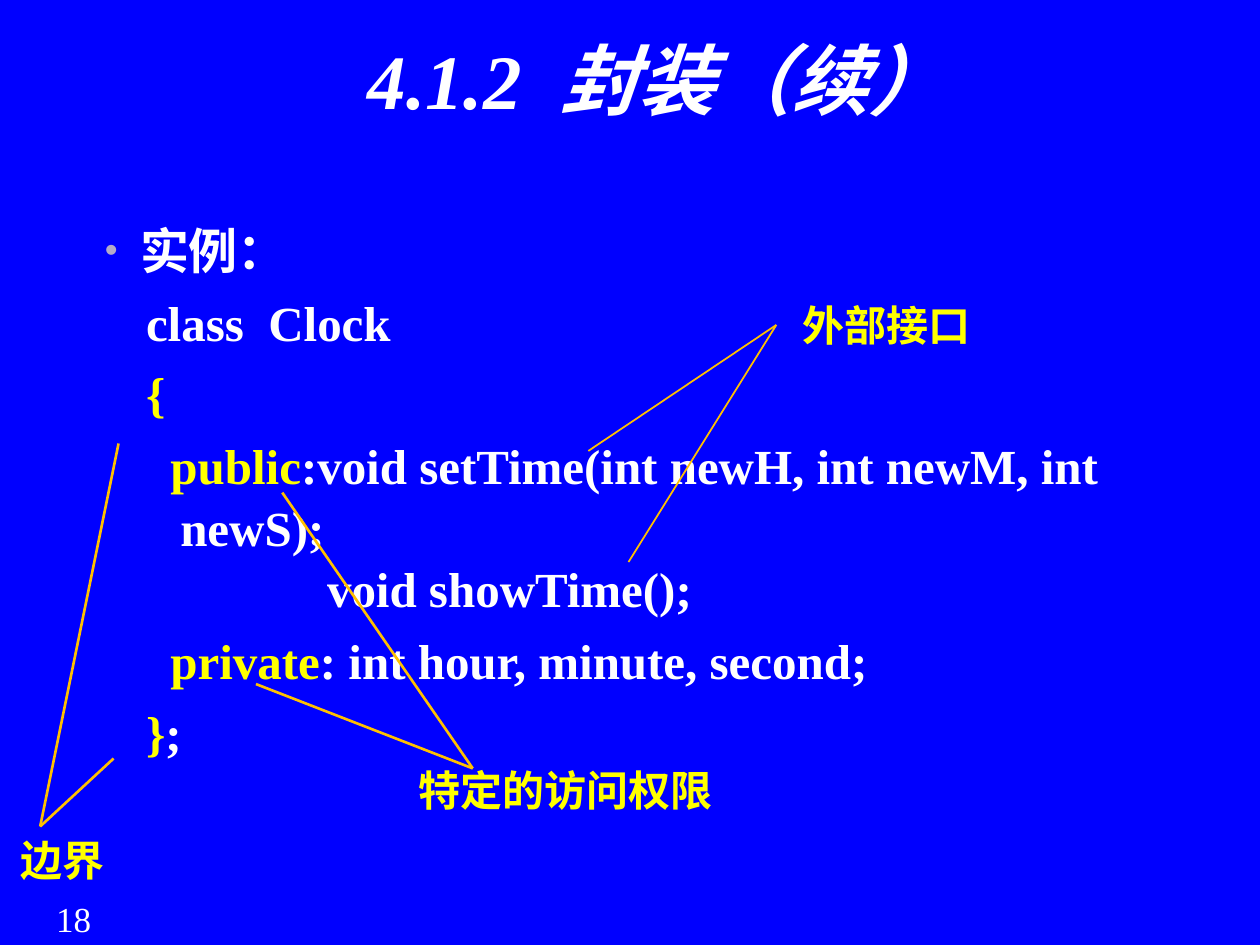
from typing import NamedTuple

from lxml.etree import SubElement
from pptx import Presentation
from pptx.dml.color import RGBColor
from pptx.enum.shapes import MSO_CONNECTOR as Conn
from pptx.enum.text import MSO_ANCHOR as Anchor, MSO_AUTO_SIZE as AutoSize, PP_ALIGN as Align
from pptx.oxml.ns import qn
from pptx.util import Cm, Pt

FONT = "Times New Roman"
COLORS = {"background": "0000FF", "text": "FFFFFF", "key": "FFFF00",
          "line": "FFC000", "bullet": "B3AAC8"}


class Box(NamedTuple):
    left: float
    top: float
    width: float
    height: float


class Label(NamedTuple):
    text: str
    box: Box
    size: int = 24
    color: str = "key"
    bold: bool = True


class Callout(NamedTuple):
    """Lines that meet at one tip beside a label."""
    tip: tuple[float, float]
    ends: list[tuple[float, float]]
    weight: float = 1.5


TITLE_BOX = Box(2.29, 0.53, 21.89, 3.68)
BODY_BOX = Box(1.55, 4.32, 23.34, 13.31)

CODE = [
    [("class  Clock", "text")],
    [("{", "key")],
    [("  ", "text"), ("public", "key"),
     (":void setTime(int newH, int newM, int newS);\n            void showTime();", "text")],
    [("  ", "text"), ("private", "key"), (": int hour, minute, second;", "text")],
    [("}", "key"), (";", "text")],
]

LABELS = [
    Label("边界", Box(0, 16.69, 2.54, 1.27)),
    Label("特定的访问权限", Box(8.13, 15.29, 6.55, 1.27)),
    Label("外部接口", Box(15.65, 5.92, 4.45, 1.27)),
    Label("18", Box(0.43, 17.96, 2.11, 1.09), 20, "text", False),
]

CALLOUTS = [
    Callout((0.81, 16.66), [(2.39, 8.94), (2.29, 15.29)]),
    Callout((15.65, 6.55), [(12.67, 11.33), (11.86, 9.09)], 1),
    Callout((9.53, 15.49), [(5.69, 9.93), (5.16, 13.79)]),
]


def rgb(name: str) -> RGBColor:
    return RGBColor.from_string(COLORS[name])


def place(s, box: Box) -> None:
    s.left, s.top, s.width, s.height = (Cm(v) for v in box)


def add_run(p, text: str, size: int, color: str, bold: bool = True, italic: bool = False) -> None:
    """Add text to a paragraph; a newline becomes a line break."""
    for i, part in enumerate(text.split("\n")):
        if i:
            p.add_line_break()
        r = p.add_run()
        r.text = part
        f = r.font
        f.name, f.size, f.bold, f.italic = FONT, Pt(size), bold, italic
        f.color.rgb = rgb(color)


def set_indent(p, margin: float, hanging: float, bullet: str = "") -> None:
    pPr = p._p.get_or_add_pPr()
    pPr.set("marL", str(Cm(margin)))
    pPr.set("indent", str(-Cm(hanging)))
    if not bullet:
        SubElement(pPr, qn("a:buNone"))
        return
    color = SubElement(pPr, qn("a:buClr"))
    SubElement(color, qn("a:srgbClr"), val=COLORS["bullet"])
    SubElement(pPr, qn("a:buSzPct"), val="75000")
    SubElement(pPr, qn("a:buChar"), char=bullet)


def fill_title(s) -> None:
    place(s, TITLE_BOX)
    tf = s.text_frame
    tf.auto_size, tf.vertical_anchor = AutoSize.NONE, Anchor.TOP
    p = tf.paragraphs[0]
    p.alignment = Align.CENTER
    add_run(p, "4.1.2  封装（续）", 44, "text", italic=True)


def fill_body(s) -> None:
    place(s, BODY_BOX)
    tf = s.text_frame
    tf.auto_size = AutoSize.NONE
    p = tf.paragraphs[0]
    set_indent(p, 1.02, 0.71, "•")
    p.space_before = Pt(0)
    add_run(p, "实例：", 28, "text")
    for line in CODE:
        p = tf.add_paragraph()
        p.level = 1
        set_indent(p, 1.83, 0.69)
        p.space_before, p.line_spacing = Pt(5.6), 1.05
        for text, color in line:
            add_run(p, text, 28, color)


def add_label(slide, label: Label) -> None:
    tf = slide.shapes.add_textbox(*(Cm(v) for v in label.box)).text_frame
    tf.word_wrap = True
    p = tf.paragraphs[0]
    p.alignment = Align.CENTER
    add_run(p, label.text, label.size, label.color, label.bold)


def add_callout(slide, callout: Callout) -> None:
    for end in callout.ends:
        s = slide.shapes.add_connector(Conn.STRAIGHT, *(Cm(v) for v in end + callout.tip))
        s.line.color.rgb = rgb("line")
        s.line.width = Pt(callout.weight)
        SubElement(s._element.spPr, qn("a:effectLst"))


def main() -> None:
    prs = Presentation()
    prs.slide_width, prs.slide_height = Cm(25.4), Cm(19.05)
    slide = prs.slides.add_slide(prs.slide_layouts[1])
    fill = slide.background.fill
    fill.solid()
    fill.fore_color.rgb = rgb("background")
    fill_title(slide.shapes.title)
    fill_body(slide.placeholders[1])
    for callout in CALLOUTS:
        add_callout(slide, callout)
    for label in LABELS:
        add_label(slide, label)
    prs.save("out.pptx")


if __name__ == "__main__":
    main()
